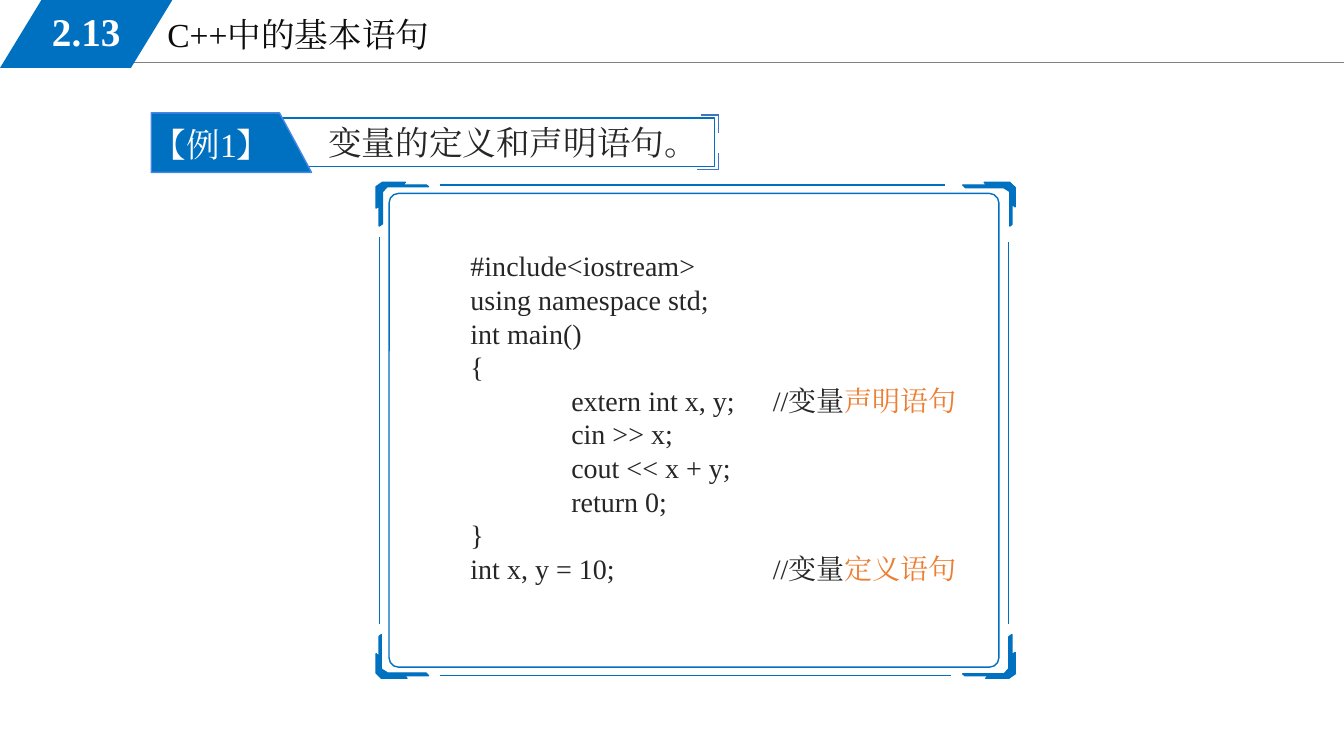
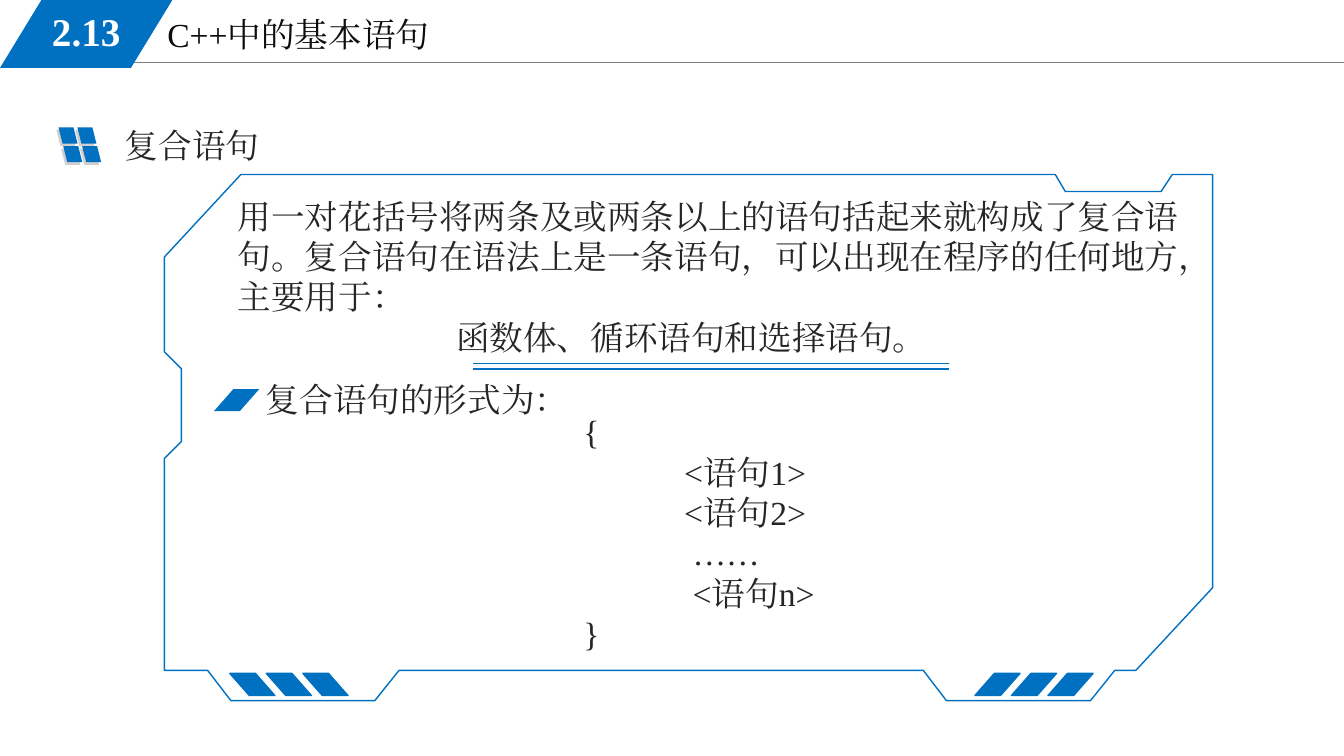
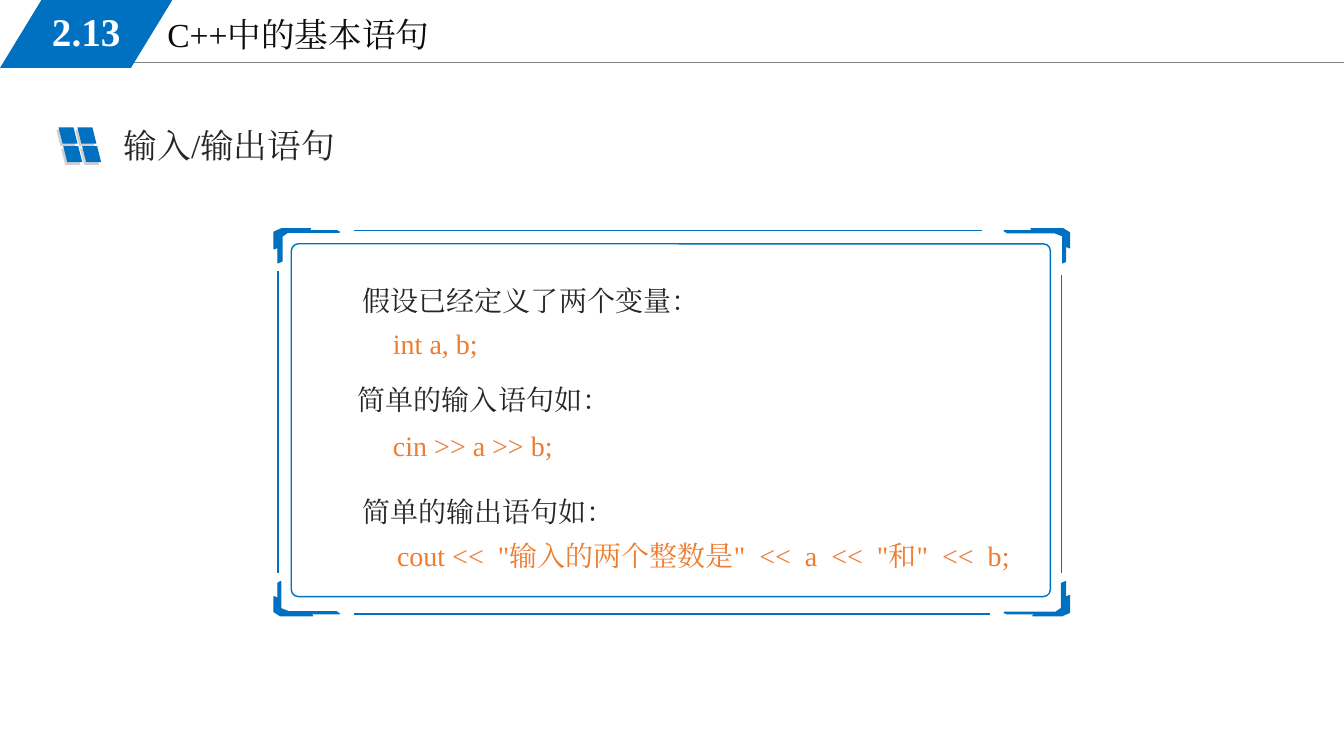
from lxml.etree import SubElement
from pptx import Presentation
from pptx.dml.color import RGBColor
from pptx.enum.shapes import MSO_CONNECTOR, MSO_SHAPE as SHAPE
from pptx.enum.text import MSO_ANCHOR as ANCHOR, MSO_AUTO_SIZE, PP_ALIGN as ALIGN
from pptx.oxml.ns import qn
from pptx.util import Pt

FONT = "Times New Roman"
BLUE, ORANGE, INK, WHITE = "0070C0", "ED7D31", "262626", "FFFFFF"
TITLE_INK, RULE_GRAY, SHADE = "0D0D0D", "808080", "D0CECE"
TAG_EDGE, BRACKET = "4788E6", "4472C4"
SLANT = 0.88

# Corner bracket of a frame, as fractions of the corner's width and height
CORNER = [(0.12, 0), (0.56, 0), (0.5, 0.06), (0.96, 0.06), (1, 0.1), (0.21, 0.1),
          (0.12, 0.22), (0.12, 0.95), (0.06, 1), (0.06, 0.54), (0, 0.59), (0, 0.1)]
# Broken edges of a frame, as fractions of its width and height
EDGES = [(0.1, 0.005, 0.89, 0.005), (0.1, 0.995, 0.9, 0.995),
         (0.005, 0.11, 0.005, 0.89), (0.99, 0.12, 0.99, 0.89)]
PANEL = [(676, 500.4), (779, 500.4), (796.3, 478.8), (811.4, 478.8), (866.2, 419.8),
         (866.2, 124.6), (837.4, 124.6), (829.4, 136.8), (761, 136.8), (753.8, 124.6),
         (172.1, 124.6), (117.4, 183.6), (117.4, 251.3), (129.6, 263.5), (129.6, 315.4),
         (117.4, 327.6), (117.4, 478.8), (148.3, 478.8), (164.9, 500.4), (267.8, 500.4),
         (285.1, 478.8), (659.5, 478.8)]


def rgb(color):
    return RGBColor.from_string(color)


class Deck:
    def __init__(self):
        self.prs = Presentation()
        self.prs.slide_width, self.prs.slide_height = Pt(960), Pt(540)
        self.s = None

    def add_slide(self, number, title):
        self.s = self.prs.slides.add_slide(self.prs.slide_layouts[5])
        self.line(81.4, 44.6, 960, 44.6, RULE_GRAY, 0.75)
        sp = self.s.shapes.title
        sp.left, sp.top, sp.width, sp.height = map(Pt, (112.3, 6.5, 408.2, 36.7))
        self.set_text(sp, title, color=TITLE_INK)
        self.shape(SHAPE.PARALLELOGRAM, 0, 0, 123.1, 48.5, fill=BLUE, adj=0.61)
        self.text(18, 1.4, 87.1, 41.8, number, 28, WHITE, ALIGN.CENTER, ANCHOR.MIDDLE, bold=True)

    def paint(self, sp, fill, line):
        sp.shadow.inherit = False
        for part, color in ((sp.fill, fill), (sp.line.fill, line)):
            if color:
                part.solid()
                part.fore_color.rgb = rgb(color)
            else:
                part.background()
        if line:
            sp.line.width = Pt(1)

    def shape(self, kind, x, y, w, h, fill=None, line=None, adj=None, flip=False, rotation=0):
        sp = self.s.shapes.add_shape(kind, Pt(x), Pt(y), Pt(w), Pt(h))
        self.paint(sp, fill, line)
        sp.rotation = rotation
        if adj is not None:
            sp.adjustments[0] = adj
        if flip:
            sp._element.spPr.get_or_add_xfrm().set("flipH", "1")

    def outline(self, points, fill=None, line=None):
        start, *rest = [(Pt(x), Pt(y)) for x, y in points]
        builder = self.s.shapes.build_freeform(*start)
        builder.add_line_segments(rest)
        self.paint(builder.convert_to_shape(), fill, line)

    def line(self, x1, y1, x2, y2, color=BLUE, width=1):
        c = self.s.shapes.add_connector(MSO_CONNECTOR.STRAIGHT, Pt(x1), Pt(y1), Pt(x2), Pt(y2))
        c.line.color.rgb = rgb(color)
        c.line.width = Pt(width)
        SubElement(c._element.spPr, qn("a:effectLst"))

    def text(self, x, y, w, h, content, *args, **kwargs):
        sp = self.s.shapes.add_textbox(Pt(x), Pt(y), Pt(w), Pt(h))
        self.set_text(sp, content, *args, **kwargs)

    def set_text(self, sp, content, size=24, color=INK, align=ALIGN.LEFT, anchor=ANCHOR.TOP,
                 bold=False, indents=(), tabs=()):
        """Fill a shape; a paragraph is a string or a list of (text, color) runs."""
        tf = sp.text_frame
        frame = {"word_wrap": True, "auto_size": MSO_AUTO_SIZE.NONE, "vertical_anchor": anchor}
        for name, value in frame.items():
            setattr(tf, name, value)
        for i, runs in enumerate([content] if isinstance(content, str) else content):
            p = tf.paragraphs[0] if i == 0 else tf.add_paragraph()
            pPr = p._p.get_or_add_pPr()
            pPr.set("hangingPunct", "1")
            if indents:
                pPr.set("marL", str(Pt(indents[i])))
            if tabs:
                stops = SubElement(pPr, qn("a:tabLst"))
                for pos in tabs:
                    SubElement(stops, qn("a:tab"), pos=str(Pt(pos)), algn="l")
            p.alignment, p.line_spacing = align, Pt(size * 1.2)
            for words, ink in [(runs, color)] if isinstance(runs, str) else runs:
                r = p.add_run()
                r.text = words
                for name, value in {"name": FONT, "size": Pt(size), "bold": bold}.items():
                    setattr(r.font, name, value)
                r.font.color.rgb = rgb(ink)
                SubElement(r._r.get_or_add_rPr(), qn("a:ea"), typeface=FONT)

    def frame(self, x, y, w, h, inner):
        """Rounded box inside four corner brackets and four broken edges."""
        self.shape(SHAPE.ROUNDED_RECTANGLE, *inner, line=BLUE, adj=0.02)
        for right in (False, True):
            for bottom in (False, True):
                pts = CORNER if right == bottom else [(v, u) for u, v in CORNER]
                pts = [(u * 0.082, v * 0.088) for u, v in pts]
                self.outline([(x + w * (1 - u if right else u), y + h * (1 - v if bottom else v))
                              for u, v in pts], BLUE, BLUE)
        for u1, v1, u2, v2 in EDGES:
            self.line(x + w * u1, y + h * v1, x + w * u2, y + h * v2)

    def heading(self, x, w, content):
        """Section heading with a four-pane mark and its gray shade."""
        for color, left, top in ((SHADE, 40.3, 92.7), (BLUE, 41.8, 90.9)):
            for row in range(2):
                for col in range(2):
                    self.shape(SHAPE.PARALLELOGRAM, left + 13.5 * col + 3.4 * row,
                               top + 13.4 * row, 13.6, 11.6, fill=color, flip=True)
        self.text(x, 85.7, w, 36, content, align=ALIGN.CENTER)

    def example(self, label, content):
        self.shape(SHAPE.RECTANGLE, 108, 84.2, 402.5, 34.6, line=BLUE)
        self.shape(SHAPE.FLOWCHART_MANUAL_INPUT, 144, 44.6, 42.5, 114.5,
                   fill=BLUE, line=TAG_EDGE, rotation=90)
        self.text(102.2, 85, 156.2, 36, label, color=WHITE)
        self.text(227.5, 83.5, 283, 36, content)
        for ends in ((500.4, 82.1, 513.4, 82.1), (513.4, 82.1, 513.4, 95),
                     (513.4, 109.4, 513.4, 121), (513.4, 121, 498.2, 121)):
            self.line(*ends, BRACKET)


def example_slide(d):
    d.text(329, 174.2, 396, 258.5, [
        "#include<iostream>",
        "using namespace std;",
        "int main()",
        "{",
        [("\textern int x, y;\t//变量", INK), ("声明语句", ORANGE)],
        "\tcin >> x;",
        "\tcout << x + y;",
        "\treturn 0;",
        "}",
        [("int x, y = 10;\t\t//变量", INK), ("定义语句", ORANGE)],
    ], 20, tabs=(72, 144, 216))
    d.example("【例1】", "变量的定义和声明语句。")
    d.frame(268.6, 130.3, 456.5, 354.2, (277.9, 138.2, 435.6, 338.4))


def compound_slide(d):
    d.heading(52.6, 169.2, "复合语句")
    d.outline(PANEL, line=BLUE)
    for left, flip in ((164.2, True), (696.4, False)):
        for i in range(3):
            d.shape(SHAPE.PARALLELOGRAM, left + 26.1 * i, 481, 32.2, 15.8,
                    fill=BLUE, line=BLUE, adj=SLANT, flip=flip)
    d.text(162.7, 136.1, 691.2, 123.8, [
        "用一对花括号将两条及或两条以上的语句括起来就构成了复合语句。"
        "复合语句在语法上是一条语句，可以出现在程序的任何地方，",
        "主要用于：",
        "函数体、循环语句和选择语句。",
    ], indents=(0, 0, 156))
    for y in (259.8, 263.5):
        d.line(337.7, y, 678.2, y)
    d.text(337.7, 290.2, 311.8, 183.6,
           ["{", "<语句1>", "<语句2>", "……", "<语句n>", "}"],
           indents=(72, 144, 144, 150, 150, 72))
    d.text(182.9, 267.1, 338.4, 36, "复合语句的形式为：")
    d.shape(SHAPE.PARALLELOGRAM, 152.8, 277.9, 32.4, 15.8, fill=BLUE, adj=SLANT)


def io_slide(d):
    d.heading(39.6, 248.4, "输入/输出语句")
    d.frame(195.8, 163.4, 568.1, 276.5, (208.1, 174.2, 542.2, 252))
    for x, y, content, color in (
            (252, 198.7, "假设已经定义了两个变量：", INK),
            (273.6, 229.7, "int a, b;", ORANGE),
            (248.5, 270, "简单的输入语句如：", INK),
            (273.6, 302.4, "cin >> a >> b;", ORANGE),
            (251.5, 349.9, "简单的输出语句如：", INK),
            (276.5, 380.9, 'cout <<  "输入的两个整数是"  <<  a  <<  "和"  <<  b;', ORANGE)):
        d.text(x, y, 500, 31.7, content, 20, color)


def main():
    d = Deck()
    for build in (example_slide, compound_slide, io_slide):
        d.add_slide("2.13", "C++中的基本语句")
        build(d)
    d.prs.save("out.pptx")


if __name__ == "__main__":
    main()
